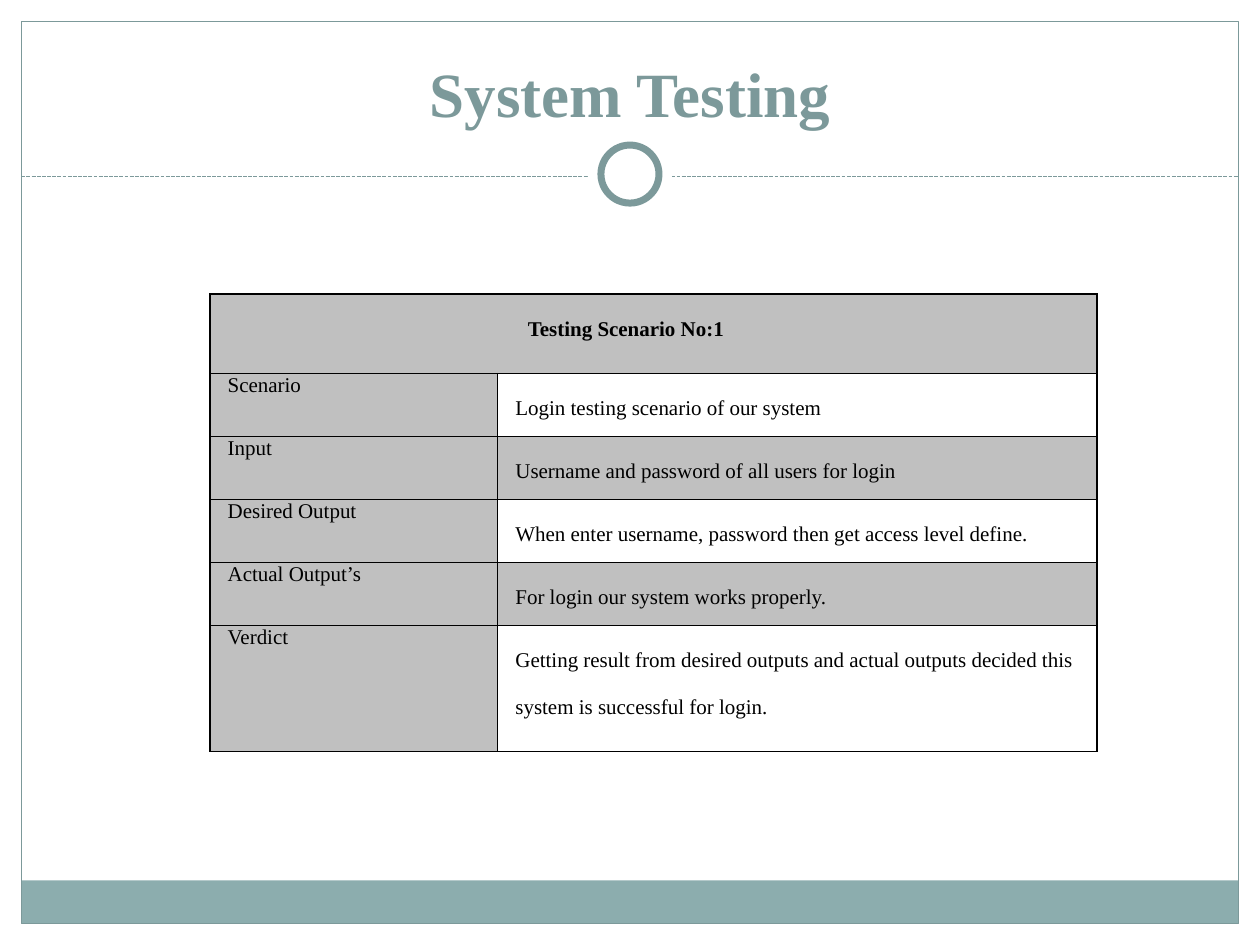
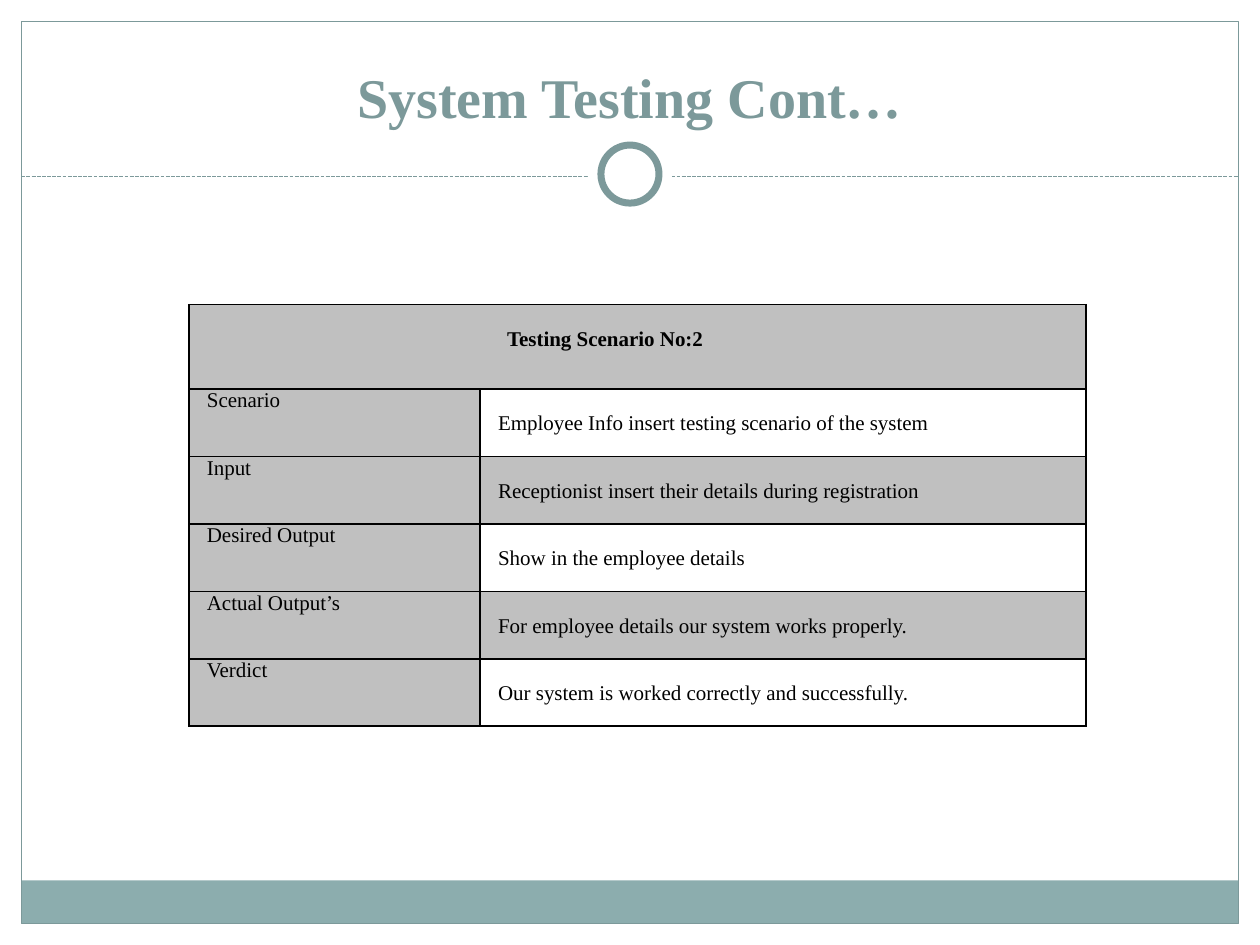
import dataclasses

import lxml.etree
import pptx
import pptx.dml.color
import pptx.enum.dml
import pptx.enum.shapes
import pptx.enum.text
import pptx.oxml.ns
import pptx.util

Cm = pptx.util.Cm
Pt = pptx.util.Pt
Align = pptx.enum.text.PP_ALIGN
Anchor = pptx.enum.text.MSO_ANCHOR
Shape = pptx.enum.shapes.MSO_SHAPE
qn = pptx.oxml.ns.qn


@dataclasses.dataclass(frozen=True)
class Theme:
    font: str = "Times New Roman"
    white: str = "FFFFFF"
    black: str = "000000"
    accent: str = "7C999A"
    band: str = "8CADAE"
    shade: str = "C0C0C0"
    body_size: int = 12
    hairline: float = 0.75
    ring_line: float = 4
    cell_line: float = 1


THEME = Theme()
WIDTH, HEIGHT = 25.4, 19.05
EDGE = 0.43
RULE_TOP = 3.56
LABELS = ("Scenario", "Input", "Desired Output", "Actual Output’s", "Verdict")


def rgb(color):
    return pptx.dml.color.RGBColor.from_string(color)


def write_text(frame, text, size=THEME.body_size, color=THEME.black, bold=False,
               align=Align.LEFT, line_spacing=1, space_before=0):
    para = frame.paragraphs[0]
    para.alignment = align
    para.line_spacing = line_spacing
    para.space_before = Pt(space_before)
    span = para.add_run()
    span.text = text
    span.font.name = THEME.font
    span.font.size = Pt(size)
    span.font.bold = bold
    span.font.color.rgb = rgb(color)
    return para


def draw_shape(page, kind, box, fill=None, line=None, line_width=THEME.hairline):
    shape = page.shapes.add_shape(kind, *map(Cm, box))
    shape.shadow.inherit = False
    if fill:
        shape.fill.solid()
        shape.fill.fore_color.rgb = rgb(fill)
    else:
        shape.fill.background()
    if line:
        shape.line.color.rgb = rgb(line)
        shape.line.width = Pt(line_width)
    else:
        shape.line.fill.background()
    return shape


def draw_rule(page, left, right, top):
    rule = page.shapes.add_connector(
        pptx.enum.shapes.MSO_CONNECTOR.STRAIGHT, Cm(left), Cm(top), Cm(right), Cm(top))
    rule.line.color.rgb = rgb(THEME.accent)
    rule.line.width = Pt(THEME.hairline)
    rule.line.dash_style = pptx.enum.dml.MSO_LINE.SQUARE_DOT
    lxml.etree.SubElement(rule._element.spPr, qn("a:effectLst"))


def draw_circle(page, center_top, diameter, **style):
    box = (WIDTH / 2 - diameter / 2, center_top - diameter / 2, diameter, diameter)
    draw_shape(page, Shape.OVAL, box, fill=THEME.white, **style)


def draw_backdrop(page):
    inner_width = WIDTH - 2 * EDGE
    margins = ((0, 0, WIDTH, 3.86), (0, 0, EDGE, HEIGHT), (WIDTH - EDGE, 0, EDGE, HEIGHT))
    for margin in margins:
        draw_shape(page, Shape.RECTANGLE, margin, fill=THEME.white)
    draw_shape(page, Shape.RECTANGLE, (EDGE, 17.75, inner_width, 0.87), fill=THEME.band)
    draw_shape(page, Shape.RECTANGLE, (EDGE, EDGE, inner_width, HEIGHT - 2 * EDGE),
               line=THEME.accent)
    draw_rule(page, EDGE, WIDTH - EDGE, RULE_TOP)
    draw_circle(page, 3.51, 1.7)
    draw_circle(page, 3.51, 1.17, line=THEME.accent, line_width=THEME.ring_line)


def draw_title(page, title, size, box=(0.85, 0.64, 23.7, 2.11)):
    frame = page.shapes.add_textbox(*map(Cm, box)).text_frame
    frame.word_wrap = True
    frame.vertical_anchor = Anchor.BOTTOM
    write_text(frame, title, size=size, color=THEME.accent, bold=True, align=Align.CENTER)


def style_cell(cell, shaded):
    cell.margin_left, cell.margin_right = Cm(0.36), Cm(0.18)
    cell.margin_top = cell.margin_bottom = 0
    properties = cell._tc.get_or_add_tcPr()
    for side in ("a:lnL", "a:lnR", "a:lnT", "a:lnB"):
        border = lxml.etree.SubElement(properties, qn(side), w=str(Pt(THEME.cell_line)))
        fill = lxml.etree.SubElement(border, qn("a:solidFill"))
        lxml.etree.SubElement(fill, qn("a:srgbClr"), val=THEME.black)
    if shaded:
        cell.fill.solid()
        cell.fill.fore_color.rgb = rgb(THEME.shade)
    else:
        cell.fill.background()


def add_center_tab(para, position):
    tabs = lxml.etree.SubElement(para._p.get_or_add_pPr(), qn("a:tabLst"))
    lxml.etree.SubElement(tabs, qn("a:tab"), pos=str(Cm(position)), algn="ctr")


def draw_scenario_table(page, box, columns, rows, heading, details):
    table = page.shapes.add_table(len(rows), len(columns), *map(Cm, box)).table
    table.first_row = table.horz_banding = False
    for column, width in zip(table.columns, columns):
        column.width = Cm(width)
    for row, height in zip(table.rows, rows):
        row.height = Cm(height)
    for row_index in range(len(rows)):
        for column_index in range(len(columns)):
            style_cell(table.cell(row_index, column_index),
                       shaded=column_index == 0 or row_index % 2 == 0)
    header = table.cell(0, 0)
    header.merge(table.cell(0, 1))
    para = write_text(header.text_frame, "\t" + heading, bold=True,
                      line_spacing=2.0, space_before=12)
    add_center_tab(para, 8.03)
    for row_index, (label, detail) in enumerate(zip(LABELS, details), start=1):
        write_text(table.cell(row_index, 0).text_frame, label)
        write_text(table.cell(row_index, 1).text_frame, detail, line_spacing=2.0)


def build_scenario_page(deck, title, title_size, corner, columns, rows, heading, details):
    page = deck.slides.add_slide(deck.slide_layouts[6])
    draw_backdrop(page)
    draw_title(page, title, title_size)
    box = (*corner, sum(columns), sum(rows))
    draw_scenario_table(page, box, columns, rows, heading, details)


def main():
    deck = pptx.Presentation()
    deck.slide_width, deck.slide_height = Cm(WIDTH), Cm(HEIGHT)
    build_scenario_page(
        deck, "System Testing", 36, corner=(4.23, 5.93), columns=(5.8, 12.08),
        rows=(1.6, *[1.27] * 4, 2.54), heading="Testing Scenario No:1",
        details=(
            "Login testing scenario of our system",
            "Username and password of all users for login",
            "When enter username, password then get access level define.",
            "For login our system works properly.",
            "Getting result from desired outputs and actual outputs decided this "
            "system is successful for login.",
        ))
    build_scenario_page(
        deck, "System Testing Cont…", 32, corner=(3.81, 6.14), columns=(5.87, 12.21),
        rows=(1.7, *[1.36] * 5), heading="Testing Scenario No:2",
        details=(
            "Employee Info insert testing scenario of the system",
            "Receptionist insert their details during registration",
            "Show in the employee details",
            "For employee details our system works properly.",
            "Our system is worked correctly and successfully.",
        ))
    deck.save("out.pptx")


if __name__ == "__main__":
    main()
